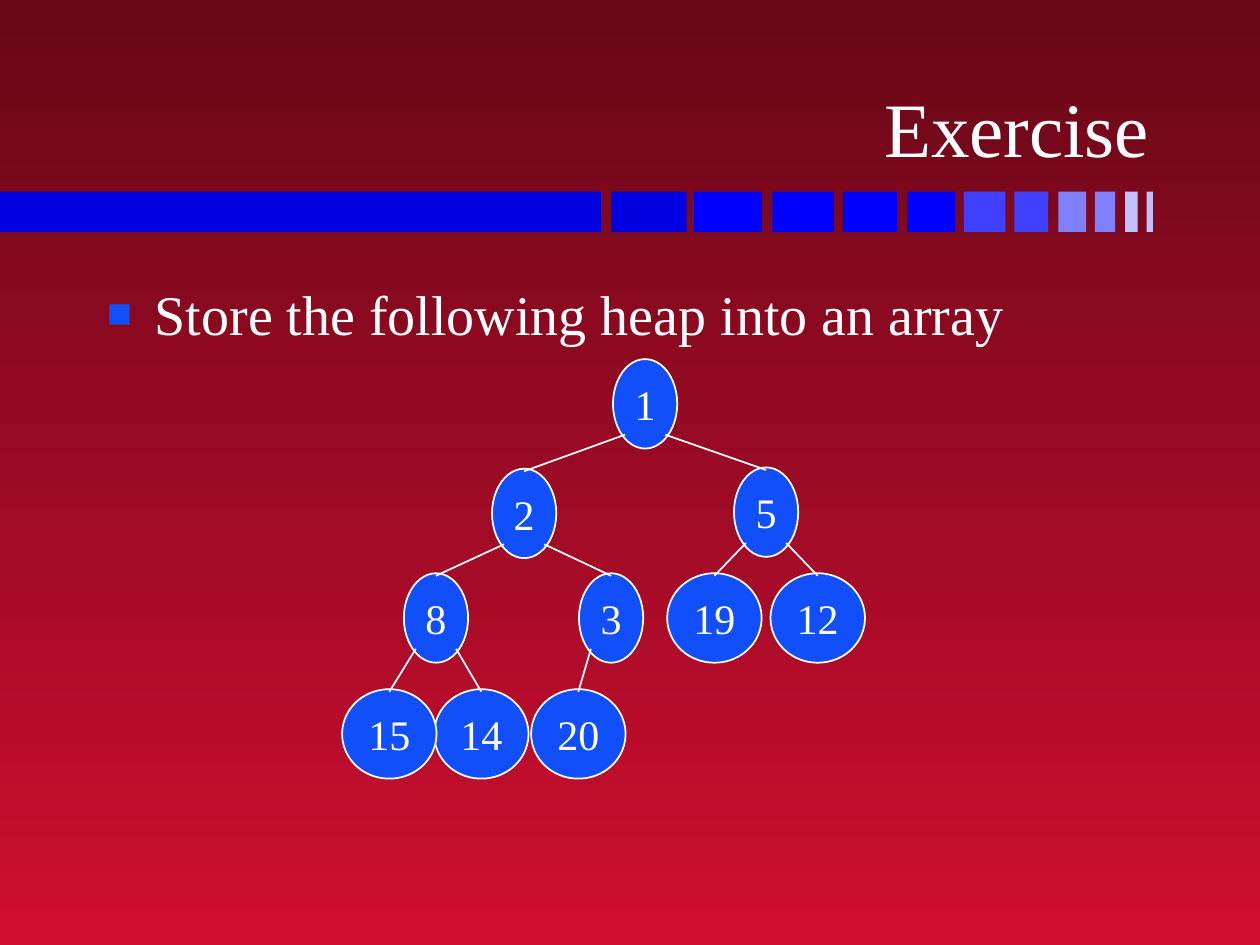
from lxml import etree
from pptx import Presentation
from pptx.dml.color import RGBColor
from pptx.enum.shapes import MSO_CONNECTOR, MSO_SHAPE
from pptx.enum.text import MSO_ANCHOR, PP_ALIGN
from pptx.oxml.ns import qn
from pptx.util import Inches, Pt

# Content
TITLE = "Exercise"
TASK = "Store the following heap into an array"
FONT = "Times New Roman"
HEX = {"top": "670718", "base": "CF0E30", "node": "114FFB", "text": "FFFFFF",
       "navy": "0000E0", "blue": "0000FF", "mid": "4040FF",
       "light": "8080FF", "pale": "C0C0FF"}
# Bar blocks: left, width, colour
BAR = [(0, 4.77, "navy"), (4.85, 0.6, "navy"),
       (5.51, 0.54, "blue"), (6.13, 0.49, "blue"),
       (6.69, 0.43, "blue"), (7.2, 0.38, "blue"),
       (7.65, 0.33, "mid"), (8.05, 0.27, "mid"),
       (8.4, 0.22, "light"), (8.69, 0.16, "light"),
       (8.93, 0.1, "pale"), (9.1, 0.05, "pale")]
# Heap nodes: label, centre x, top, parent label
HEAP = [("1", 5.12, 2.85, None),
        ("5", 6.08, 3.71, "1"), ("2", 4.16, 3.72, "1"),
        ("3", 4.85, 4.55, "2"), ("8", 3.46, 4.55, "2"),
        ("19", 5.67, 4.55, "5"), ("12", 6.49, 4.55, "5"),
        ("14", 3.82, 5.47, "8"), ("15", 3.09, 5.47, "8"),
        ("20", 4.59, 5.47, "3")]
TALL = 0.71
WIDE = {1: 0.51, 2: 0.75}  # node width by number of digits


def color(name):
    return RGBColor.from_string(HEX[name])


def add_shape(kind, x, y, w, h, fill):
    shape = slide.shapes.add_shape(kind, Inches(x), Inches(y), Inches(w), Inches(h))
    shape.shadow.inherit = False
    shape.fill.solid()
    shape.fill.fore_color.rgb = color(fill)
    shape.line.fill.background()
    return shape


def set_text(frame, text, size, align, anchor, wrap=True):
    frame.text = text
    frame.word_wrap = wrap
    frame.vertical_anchor = anchor
    para = frame.paragraphs[0]
    para.alignment = align
    font = para.runs[0].font
    font.name, font.size = FONT, Pt(size)
    font.color.rgb = color("text")
    return para


def add_box(x, y, w, h, *text):
    box = slide.shapes.add_textbox(Inches(x), Inches(y), Inches(w), Inches(h))
    return set_text(box.text_frame, *text)


def add_bullet(para):
    props = para._p.get_or_add_pPr()
    props.set("marL", str(Inches(0.38)))
    props.set("indent", str(Inches(-0.38)))
    tint = etree.SubElement(props, qn("a:buClr"))
    etree.SubElement(tint, qn("a:srgbClr"), val=HEX["node"])
    etree.SubElement(props, qn("a:buSzPct"), val="75000")
    etree.SubElement(props, qn("a:buFont"), typeface=FONT)
    etree.SubElement(props, qn("a:buChar"), char="■")


def add_edge(parent, child):
    (px, py), (cx, cy) = parent, child
    side = 0.16 if cx > px else -0.16
    ends = (px + side, py + 0.6, cx, cy + 0.02)
    edge = slide.shapes.add_connector(MSO_CONNECTOR.STRAIGHT, *map(Inches, ends))
    edge.line.color.rgb = color("text")
    edge.line.width = Pt(1)
    etree.SubElement(edge._element.spPr, qn("a:effectLst"))


deck = Presentation()
deck.slide_width, deck.slide_height = Inches(10), Inches(7.5)
slide = deck.slides.add_slide(deck.slide_layouts[6])

# Background
back = slide.background.fill
back.gradient()
back.gradient_angle = 270
for stop, name, spot in zip(back.gradient_stops, ("top", "base"), (0, 1)):
    stop.color.rgb = color(name)
    stop.position = spot

# Bar
for left, width, name in BAR:
    add_shape(MSO_SHAPE.RECTANGLE, left, 1.52, width, 0.32, name)

# Title and task
add_box(0.74, 0.19, 8.48, 1.23, TITLE, 44, PP_ALIGN.RIGHT, MSO_ANCHOR.BOTTOM)
add_bullet(add_box(0.75, 2.17, 8.5, 4.5, TASK, 32, PP_ALIGN.LEFT, MSO_ANCHOR.TOP))

# Heap
spots = {label: (mid, top) for label, mid, top, _ in HEAP}
for label, mid, top, _ in HEAP:
    width = WIDE[len(label)]
    node = add_shape(MSO_SHAPE.OVAL, mid - width / 2, top, width, TALL, "node")
    node.line.color.rgb = color("text")
    node.line.width = Pt(1)
    set_text(node.text_frame, label, 24, PP_ALIGN.CENTER, MSO_ANCHOR.MIDDLE, False)
for label, _, _, parent in HEAP:
    if parent:
        add_edge(spots[parent], spots[label])

deck.save("out.pptx")
